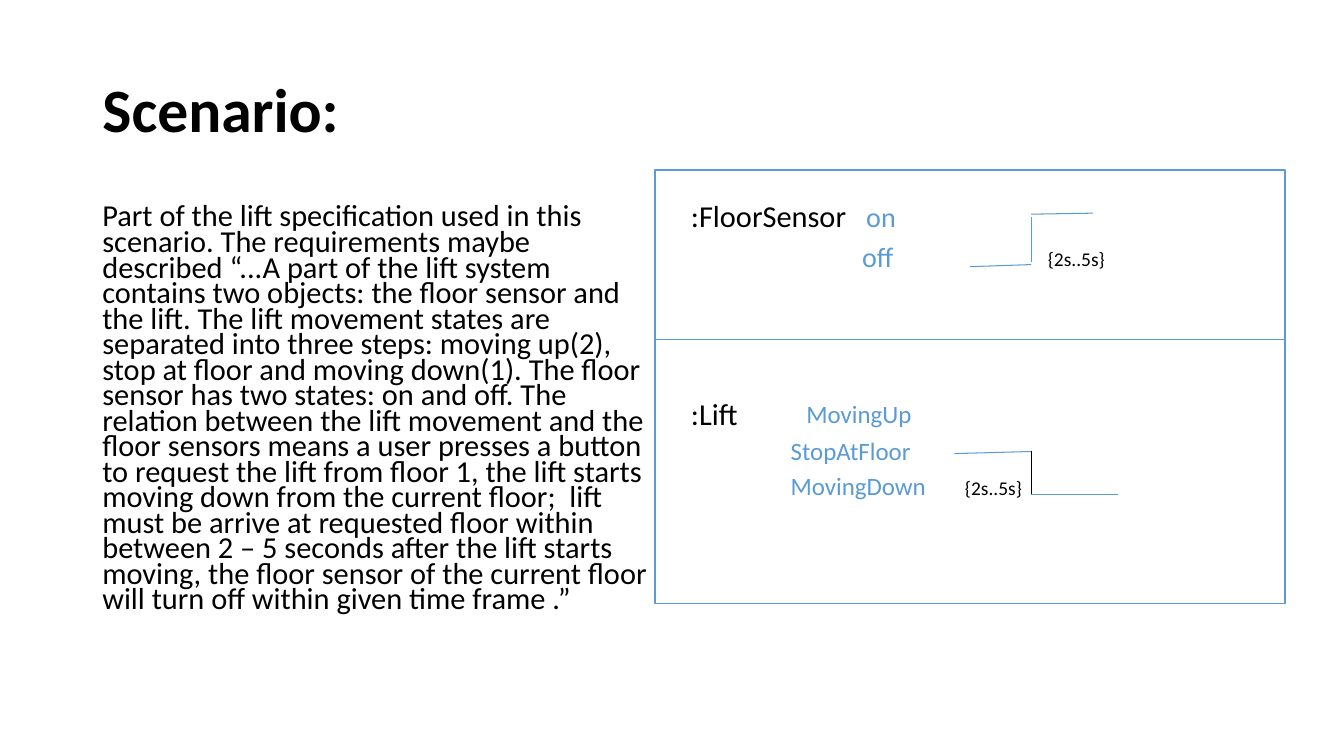
from lxml import etree
from pptx import Presentation
from pptx.dml.color import RGBColor
from pptx.enum.shapes import MSO_CONNECTOR, MSO_SHAPE
from pptx.enum.text import MSO_ANCHOR, MSO_AUTO_SIZE, PP_ALIGN
from pptx.oxml.ns import qn
from pptx.util import Pt

PX = 9525
FONT = "Calibri"
BLACK = RGBColor(0x00, 0x00, 0x00)
BLUE = RGBColor(0x5B, 0x9B, 0xD5)
STRAIGHT = MSO_CONNECTOR.STRAIGHT
RECTANGLE = MSO_SHAPE.RECTANGLE
MIDDLE = MSO_ANCHOR.MIDDLE
LEFT = PP_ALIGN.LEFT
NO_AUTOFIT = MSO_AUTO_SIZE.NONE
ASCENT = 0.95

SCENARIO = (
    "Part of the lift specification used in this scenario. The requirements maybe "
    "described “...A part of the lift system contains two objects: the floor sensor "
    "and the lift. The lift movement states are separated into three steps: moving "
    "up(2), stop at floor and moving down(1). The floor sensor has two states: on and "
    "off. The relation between the lift movement and the floor sensors means a user "
    "presses a button to request the lift from floor 1, the lift starts moving down "
    "from the current floor;  lift must be arrive at requested floor within between "
    "2 – 5 seconds after the lift starts moving, the floor sensor of the current floor "
    "will turn off within given time frame .”"
)

LABELS = [
    (":FloorSensor", 658, 215, 21.7, BLACK),
    ("on", 825, 215, 20.1, BLUE),
    ("off", 821, 253, 20.1, BLUE),
    ("{2s..5s}", 998, 253, 13.9, BLACK),
    (":Lift", 658, 403, 21.7, BLACK),
    ("MovingUp", 768, 403, 17.8, BLUE),
    ("StopAtFloor", 753, 438, 17.8, BLUE),
    ("MovingDown", 753, 471, 17.8, BLUE),
    ("{2s..5s}", 919, 471, 13.9, BLACK),
]

SIGNAL_LINES = [
    (909, 432, 982, 430, BLUE),
    (982, 430, 982, 471, BLACK),
    (982, 471, 1065, 471, BLUE),
    (924, 254, 982, 252, BLUE),
    (982, 207, 982, 250, BLUE),
    (982, 204, 1041, 203, BLUE),
]


def px(*values):
    return [v * PX for v in values]


def add_run(p, text, size, color, bold=False):
    r = p.add_run()
    r.text = text
    r.font.name = FONT
    r.font.size = Pt(size)
    r.font.bold = bold
    r.font.color.rgb = color


def set_title(slide, text):
    sp = slide.shapes.title
    sp.left, sp.top, sp.width, sp.height = px(88, 38, 1104, 139)
    tf = sp.text_frame
    tf.auto_size = NO_AUTOFIT
    tf.vertical_anchor = MIDDLE
    p = tf.paragraphs[0]
    p.alignment = LEFT
    p.line_spacing = 0.9
    add_run(p, text, 44, BLACK, bold=True)


def add_body(slide, text):
    tf = slide.shapes.add_textbox(*px(88, 192, 544, 457)).text_frame
    tf.word_wrap = True
    p = tf.paragraphs[0]
    p.line_spacing = 0.7
    add_run(p, text, 21.7, BLACK)


def add_label(slide, text, x, baseline, size, color):
    size_px = size * 96 / 72
    top = baseline - round(size_px * ASCENT)
    sp = slide.shapes.add_textbox(*px(x, top, 180, round(size_px * 1.22)))
    tf = sp.text_frame
    tf.word_wrap = True
    tf.margin_left = tf.margin_top = tf.margin_right = tf.margin_bottom = 0
    add_run(tf.paragraphs[0], text, size, color)


def add_line(slide, x1, y1, x2, y2, color):
    c = slide.shapes.add_connector(STRAIGHT, *px(x1, y1, x2, y2))
    c.line.color.rgb = color
    c.line.width = Pt(0.75)
    etree.SubElement(c._element.spPr, qn("a:effectLst"))


def add_frame(slide, x, y, w, h):
    sp = slide.shapes.add_shape(RECTANGLE, *px(x, y, w, h))
    sp.shadow.inherit = False
    sp.fill.background()
    sp.line.color.rgb = BLUE
    sp.line.width = Pt(1)


def main():
    prs = Presentation()
    prs.slide_width, prs.slide_height = px(1280, 720)
    slide = prs.slides.add_slide(prs.slide_layouts[5])
    set_title(slide, "Scenario:")
    add_body(slide, SCENARIO)
    for label in LABELS:
        add_label(slide, *label)
    for line in SIGNAL_LINES:
        add_line(slide, *line)
    add_frame(slide, 624, 162, 600, 413)
    add_line(slide, 624, 323, 1224, 323, BLUE)
    prs.save("out.pptx")


if __name__ == "__main__":
    main()
